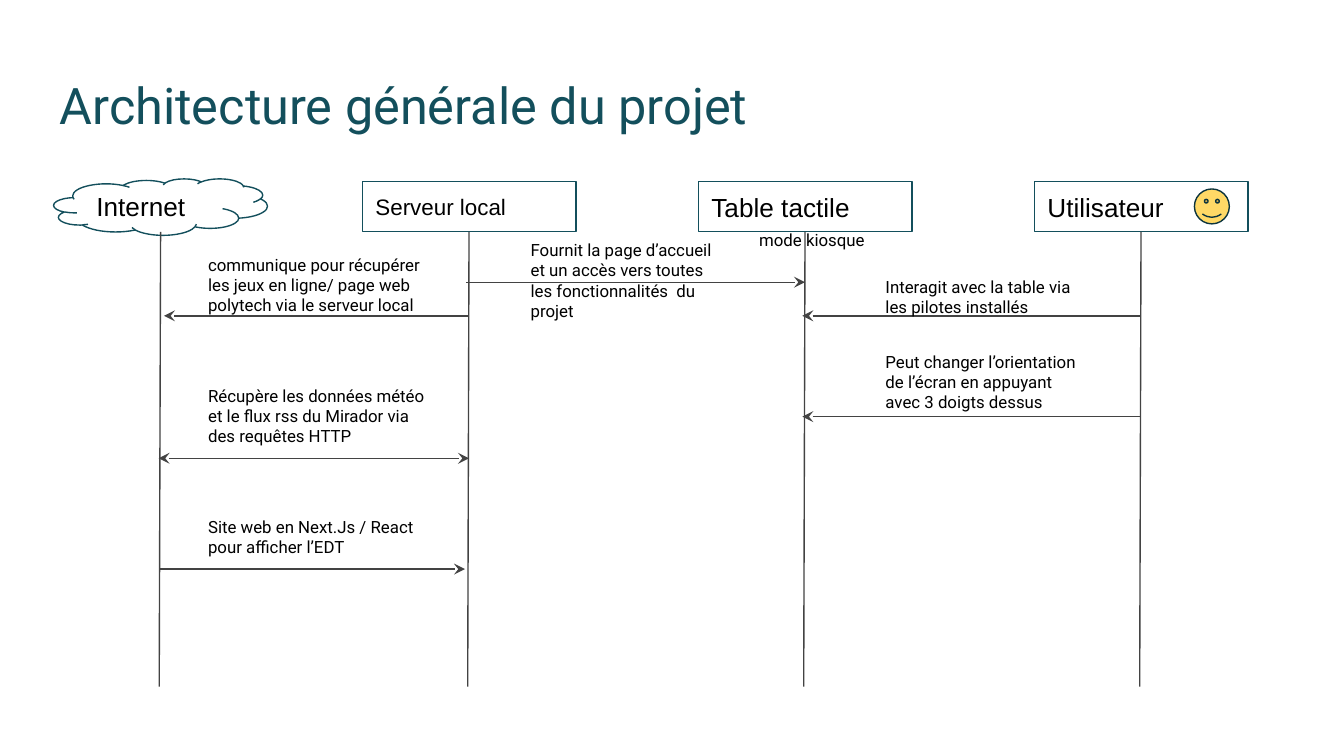
from pptx import Presentation
from pptx.dml.color import RGBColor
from pptx.enum.shapes import MSO_CONNECTOR, MSO_SHAPE
from pptx.enum.text import MSO_ANCHOR, PP_ALIGN
from pptx.oxml.ns import qn
from pptx.util import Inches, Pt
from lxml import etree

LINE = MSO_CONNECTOR.STRAIGHT
RECT, CLOUD, SMILE = MSO_SHAPE.RECTANGLE, MSO_SHAPE.CLOUD, MSO_SHAPE.SMILEY_FACE
TOP, MID = MSO_ANCHOR.TOP, MSO_ANCHOR.MIDDLE
LEFT = PP_ALIGN.LEFT

WIDE = Inches(10)
HIGH = WIDE * 9 // 16
COLS, ROWS = 100, 56.25
COLORS = {"teal": "134F5C", "gray": "434343", "ink": "000000",
          "gold": "FFD966", "navy": "0C343D"}

HEAD_W, HEAD_H, HEAD_Y = 15.9, 3.75, 13.5
HEADS = [
    (4, "Internet", 14, CLOUD),
    (26.95, "Serveur local", 12, RECT),
    (51.95, "Table tactile", 14, RECT),
    (76.95, "Utilisateur", 14, RECT),
]
LANES = [left + HEAD_W / 2 for left, *rest in HEADS]

CALLS = [
    (0, 1, 0.25, 0, 23.5, "head", 2.55, 5.55, 18, 6.6,
     "communique pour récupérer les jeux en ligne/ page web polytech via le serveur local"),
    (2, 3, -0.2, -0.1, 23.5, "head", 5, 3.9, 16.4, 5,
     "Interagit avec la table via les pilotes installés"),
    (2, 3, -0.2, -0.1, 31, "head", 5, 5.85, 16.4, 6.6,
     "Peut changer l’orientation de l’écran en appuyant avec 3 doigts dessus"),
    (1, 2, -0.2, 0, 21, "tail", 3.6, 4.15, 16.4, 8.1,
     "Fournit la page d’accueil et un accès vers toutes les fonctionnalités  du projet"),
    (0, 1, -0.15, 0, 34.1, "head tail", 2.55, 6.4, 18.8, 6.6,
     "Récupère les données météo et le flux rss du Mirador via des requêtes HTTP"),
    (0, 1, -0.05, -0.3, 42.35, "tail", 2.55, 4.9, 18, 5,
     "Site web en Next.Js / React pour afficher l’EDT"),
]


def tint(name):
    return RGBColor.from_string(COLORS[name])


def place(box):
    x, y, w, h = box
    return (round(x * WIDE / COLS), round(y * HIGH / ROWS),
            round(w * WIDE / COLS), round(h * HIGH / ROWS))


def write(shape, text, size=9, font="Roboto", color="ink", anchor=TOP):
    frame = shape.text_frame
    frame.word_wrap = True
    frame.vertical_anchor = anchor
    frame.margin_left = frame.margin_right = Inches(0.1)
    frame.margin_top = frame.margin_bottom = Inches(0.1)
    para = frame.paragraphs[0]
    para.alignment = LEFT
    run = para.add_run()
    run.text = text
    run.font.name, run.font.size = font, Pt(size)
    run.font.color.rgb = tint(color)


def label(slide, box, text, **style):
    write(slide.shapes.add_textbox(*place(box)), text, **style)


def figure(slide, kind, box, line, fill=None):
    shape = slide.shapes.add_shape(kind, *place(box))
    shape.shadow.inherit = False
    if fill:
        shape.fill.solid()
        shape.fill.fore_color.rgb = tint(fill)
    else:
        shape.fill.background()
    shape.line.color.rgb = tint(line)
    shape.line.width = Pt(0.75)
    return shape


def stroke(slide, box, ends=""):
    x, y, w, h = place(box)
    line = slide.shapes.add_connector(LINE, x, y, x + w, y + h)
    line.line.color.rgb = tint("gray")
    line.line.width = Pt(0.75)
    pen = line.line._get_or_add_ln()
    for end in ends.split():
        etree.SubElement(pen, qn(f"a:{end}End"), type="stealth", w="med", len="med")
    etree.SubElement(line._element.spPr, qn("a:effectLst"))


def lane(slide, box, text, size, kind):
    x, y, w, h = box
    if kind == CLOUD:
        shape = figure(slide, kind, (x, y - 0.2, w, h + 0.45), "teal")
    else:
        shape = figure(slide, kind, box, "teal")
    write(shape, text, size=size, font="Arial", anchor=MID)
    stroke(slide, (x + w / 2, y + h, -0.1, 33.85))


def smile(slide, box):
    x, y, w, h = box
    face = figure(slide, SMILE, (x + 0.75 * w, y + 0.15 * h, 2.6, 2.6), "navy", "gold")
    face.adjustments[0] = 0.05


def call(slide, box, ends):
    stroke(slide, box, ends)


def note(slide, spot, indent, rise, wide, high, text):
    x, y = spot
    label(slide, (x + indent, y - rise, wide, high), text)


def build():
    deck = Presentation()
    deck.slide_width, deck.slide_height = WIDE, HIGH
    slide = deck.slides.add_slide(deck.slide_layouts[6])
    label(slide, (3.45, 4.5, 93.2, 6.6), "Architecture générale du projet",
          size=27, color="teal")
    for left, *rest in HEADS:
        lane(slide, (left, HEAD_Y, HEAD_W, HEAD_H), *rest)
    for start, stop, near, far, row, ends, *rest in CALLS:
        x = LANES[start] + near
        call(slide, (x, row, LANES[stop] + far - x, 0), ends)
        note(slide, (LANES[start], row), *rest)
    smile(slide, (HEADS[-1][0], HEAD_Y, HEAD_W, HEAD_H))
    label(slide, (55.5, 16.35, 10.2, 3.5), "mode kiosque")
    deck.save("out.pptx")


if __name__ == "__main__":
    build()
